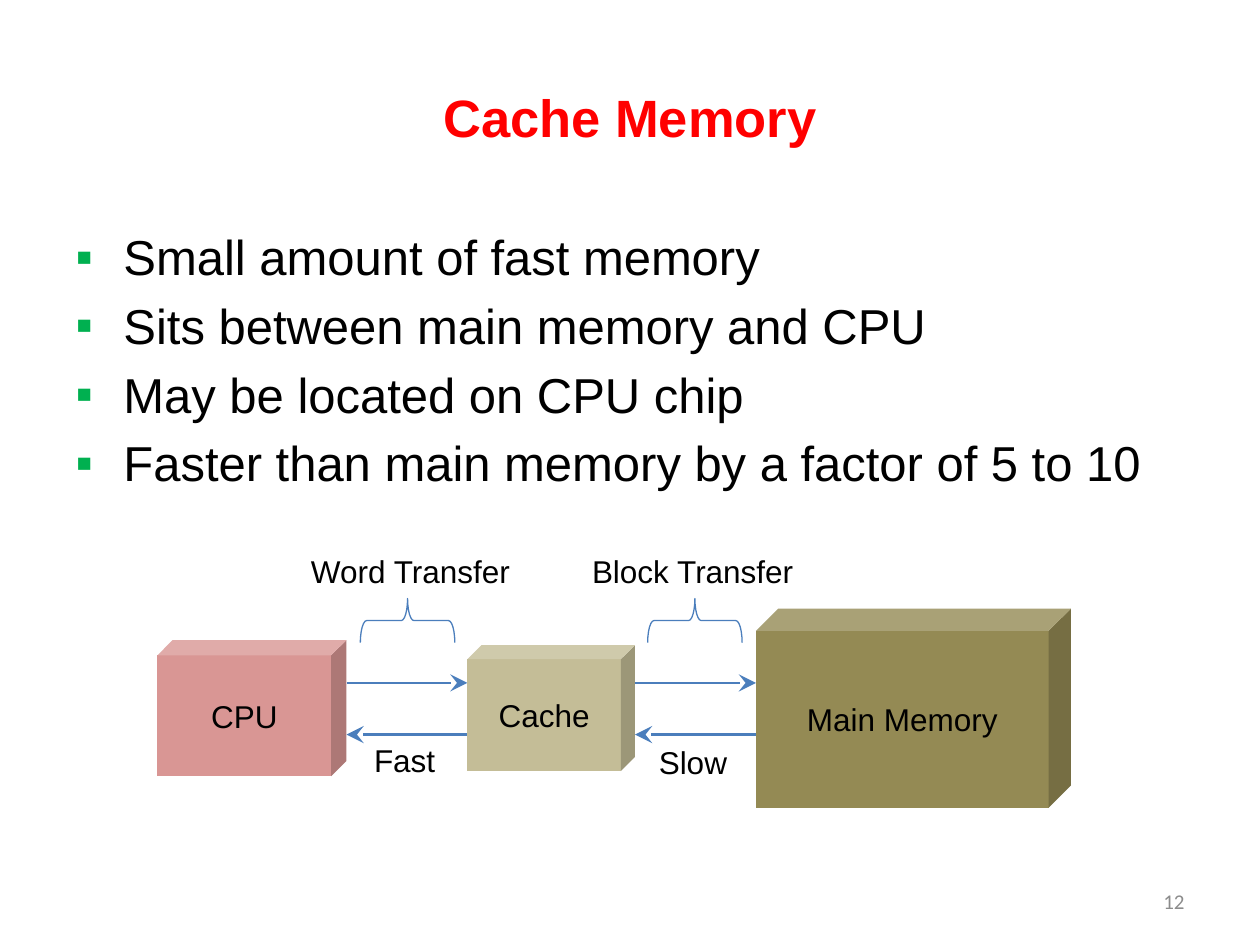
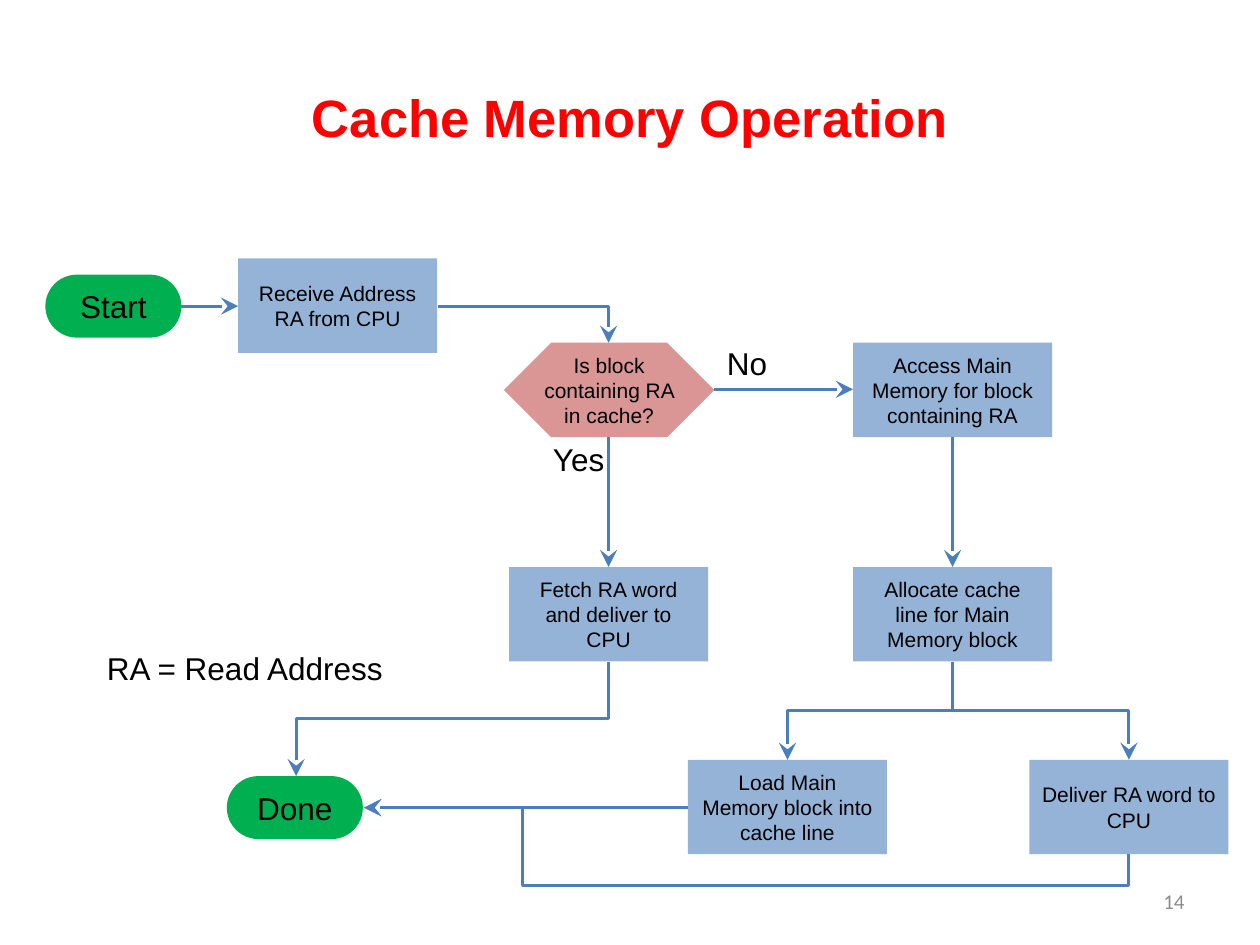
from pptx import Presentation
from pptx.dml.color import RGBColor
from pptx.enum.shapes import MSO_CONNECTOR, MSO_SHAPE
from pptx.enum.text import MSO_ANCHOR, PP_ALIGN
from pptx.oxml.ns import qn
from pptx.util import Inches, Pt
from lxml.etree import SubElement

RED = RGBColor(0xFF, 0x00, 0x00)
BLACK = RGBColor(0x00, 0x00, 0x00)
GREY = RGBColor(0x8C, 0x8C, 0x8C)
GREEN = RGBColor(0x00, 0xB0, 0x50)
PINK = RGBColor(0xD9, 0x96, 0x94)
TAN = RGBColor(0xC4, 0xBD, 0x97)
OLIVE = RGBColor(0x94, 0x8A, 0x54)
SKY = RGBColor(0x95, 0xB3, 0xD7)
BLUE = RGBColor(0x4B, 0x7E, 0xBC)


def write(sp, text, size=18, color=BLACK, font="Arial", bold=False,
          align=PP_ALIGN.CENTER, anchor=MSO_ANCHOR.MIDDLE, wrap=True):
    """Fill a shape with text, one paragraph per line, in one format."""
    tf = sp.text_frame
    tf.text = text
    tf.word_wrap = wrap
    tf.vertical_anchor = anchor
    for p in tf.paragraphs:
        p.alignment = align
        for r in p.runs:
            r.font.name = font
            r.font.size = Pt(size)
            r.font.bold = bold
            r.font.color.rgb = color


def connect(s, start, end, kind="line", width=1.75, adjust=()):
    """Draw an arrow; bentConnector3 and 4 leave their start vertically."""
    (x1, y1), (x2, y2) = start, end
    c = s.shapes.add_connector(MSO_CONNECTOR.STRAIGHT, Inches(x1), Inches(y1),
                               Inches(x2), Inches(y2))
    c.line.color.rgb = BLUE
    c.line.width = Pt(width)
    sp_pr = c._element.spPr
    SubElement(sp_pr.find(qn("a:ln")), qn("a:tailEnd"), type="stealth", w="lg", len="lg")
    SubElement(sp_pr, qn("a:effectLst"))
    geom = sp_pr.find(qn("a:prstGeom"))
    geom.set("prst", kind)
    if kind in ("bentConnector3", "bentConnector4"):
        # The box is stored unrotated, so its sides swap around the centre.
        w, h = abs(y2 - y1), abs(x2 - x1)
        c.left, c.top = Inches((x1 + x2 - w) / 2), Inches((y1 + y2 - h) / 2)
        c.width, c.height = Inches(w), Inches(h)
        leftward, downward = x2 < x1, y2 > y1
        xfrm = sp_pr.find(qn("a:xfrm"))
        xfrm.attrib.pop("flipV", None)
        xfrm.set("rot", str((90 if leftward else 270) * 60000))
        xfrm.set("flipH", "1" if leftward != downward else "0")
        guides = geom.get_or_add_avLst()
        for i, value in enumerate(adjust, 1):
            name = f"adj{i}" if len(adjust) > 1 else "adj1"
            SubElement(guides, qn("a:gd"), name=name, fmla=f"val {round(value * 100000)}")


prs = Presentation()
prs.slide_width, prs.slide_height = Inches(10), Inches(7.5)

# Shared frame: layout, title and page number
slides = []
for layout, title, number in ((1, "Cache Memory", "12"), (5, "Cache Memory Operation", "14")):
    s = prs.slides.add_slide(prs.slide_layouts[layout])
    sp = s.shapes.title
    sp.left, sp.top, sp.width, sp.height = Inches(0.5), Inches(0.3), Inches(9), Inches(1.25)
    write(sp, title, size=30, color=RED, bold=True)
    sp = s.shapes.add_textbox(Inches(7.17), Inches(6.95), Inches(2.33), Inches(0.4))
    write(sp, number, size=12, color=GREY, font="Calibri", align=PP_ALIGN.RIGHT)
    slides.append(s)
memory, flow = slides

# Slide 1: bullet list
body = memory.placeholders[1]
body.left, body.top, body.width, body.height = Inches(0.5), Inches(1.75), Inches(9), Inches(4.95)
write(body, "Small amount of fast memory\nSits between main memory and CPU\n"
      "May be located on CPU chip\nFaster than main memory by a factor of 5 to 10",
      size=28, align=PP_ALIGN.LEFT, anchor=MSO_ANCHOR.TOP)
for p in body.text_frame.paragraphs:
    p_pr = p._p.get_or_add_pPr()
    p_pr.set("marL", str(Inches(0.38)))
    p_pr.set("indent", str(-Inches(0.38)))
    SubElement(SubElement(p_pr, qn("a:buClr")), qn("a:srgbClr"), val=str(GREEN))
    SubElement(p_pr, qn("a:buFont"), typeface="Arial")
    SubElement(p_pr, qn("a:buChar"), char="▪")

# Slide 1: the three memory levels, and the transfers in the gaps
cubes = (("CPU", 1.25, 5.08, 1.5, 1.08, PINK),
         ("Cache", 3.71, 5.12, 1.33, 1, TAN),
         ("Main Memory", 6, 4.83, 2.5, 1.58, OLIVE))
gaps = ((2.75, 3.71, 3.06), (5.04, 6, 5.34))
nodes = [(memory, MSO_SHAPE.CUBE, (0.112,), 18, *cube) for cube in cubes]
for left, right, brace_left in gaps:
    connect(memory, (left, 5.42), (right, 5.42), width=1.5)
    connect(memory, (right, 5.83), (left, 5.83), width=1.5)
    sp = memory.shapes.add_shape(MSO_SHAPE.RIGHT_BRACE, Inches(brace_left), Inches(4.55),
                                 Inches(0.35), Inches(0.75))
    sp.rotation = 270
    sp.adjustments[0] = 0.143
    sp.shadow.inherit = False
    sp.fill.background()
    sp.line.color.rgb = BLUE
    sp.line.width = Pt(0.75)

# Slide 2: flowchart nodes
STEP_W, STEP_H = 1.58, 0.75
steps = (("Receive Address RA from CPU", 1.89, 2.05),
         ("Load Main Memory block into cache line", 5.46, 6.03),
         ("Fetch RA word and deliver to CPU", 4.04, 4.5),
         ("Access Main Memory for block containing RA", 6.77, 2.72),
         ("Deliver RA word to CPU", 8.17, 6.03),
         ("Allocate cache line for Main Memory block", 6.77, 4.5))
nodes += [(flow, MSO_SHAPE.RECTANGLE, (), 12, *step, STEP_W, STEP_H, SKY) for step in steps]
nodes += [(flow, MSO_SHAPE.ROUNDED_RECTANGLE, (0.5,), 18, text, x, y, 1.08, 0.5, GREEN)
          for text, x, y in (("Start", 0.36, 2.18), ("Done", 1.8, 6.16))]
nodes.append((flow, MSO_SHAPE.SNIP_2_DIAG_RECTANGLE, (0.5, 0.5), 12,
              "Is block containing RA in cache?", 4, 2.72, 1.67, STEP_H, PINK))

for s, shape, adjust, size, text, x, y, w, h, color in nodes:
    sp = s.shapes.add_shape(shape, Inches(x), Inches(y), Inches(w), Inches(h))
    for i, value in enumerate(adjust):
        sp.adjustments[i] = value
    sp.shadow.inherit = False
    sp.fill.solid()
    sp.fill.fore_color.rgb = color
    sp.line.fill.background()
    write(sp, text, size=size)

# Slide 2: arrows between the node edges
YES_X, NO_X, DONE_Y = 4.83, 7.56, 6.41
connect(flow, (1.44, 2.43), (1.89, 2.43))
connect(flow, (3.48, 2.43), (YES_X, 2.72), "bentConnector2")
connect(flow, (YES_X, 3.47), (YES_X, 4.5))
connect(flow, (5.67, 3.09), (6.77, 3.09))
connect(flow, (NO_X, 3.47), (NO_X, 4.5))
connect(flow, (NO_X, 5.25), (6.25, 6.03), "bentConnector3", adjust=(0.5,))
connect(flow, (NO_X, 5.25), (8.96, 6.03), "bentConnector3", adjust=(0.5,))
connect(flow, (8.96, 6.78), (2.89, DONE_Y), "bentConnector4", adjust=(-0.667, 0.793))
connect(flow, (5.46, DONE_Y), (2.89, DONE_Y))
connect(flow, (YES_X, 5.25), (2.35, 6.16), "bentConnector3", adjust=(0.5,))

# Free labels on both slides
labels = ((memory, "Slow", 5.13, 5.85, 0.75), (memory, "Fast", 2.87, 5.83, 0.69),
          (memory, "Word Transfer", 2.37, 4.33, 1.8),
          (memory, "Block Transfer", 4.6, 4.33, 1.81),
          (flow, "RA = Read Address", 0.75, 5.1, 2.41),
          (flow, "Yes", 4.29, 3.44, 0.61), (flow, "No", 5.67, 2.68, 0.52))
for s, text, x, y, w in labels:
    sp = s.shapes.add_textbox(Inches(x), Inches(y), Inches(w), Inches(0.4))
    write(sp, text, align=PP_ALIGN.LEFT, anchor=MSO_ANCHOR.TOP, wrap=False)

prs.save("out.pptx")
